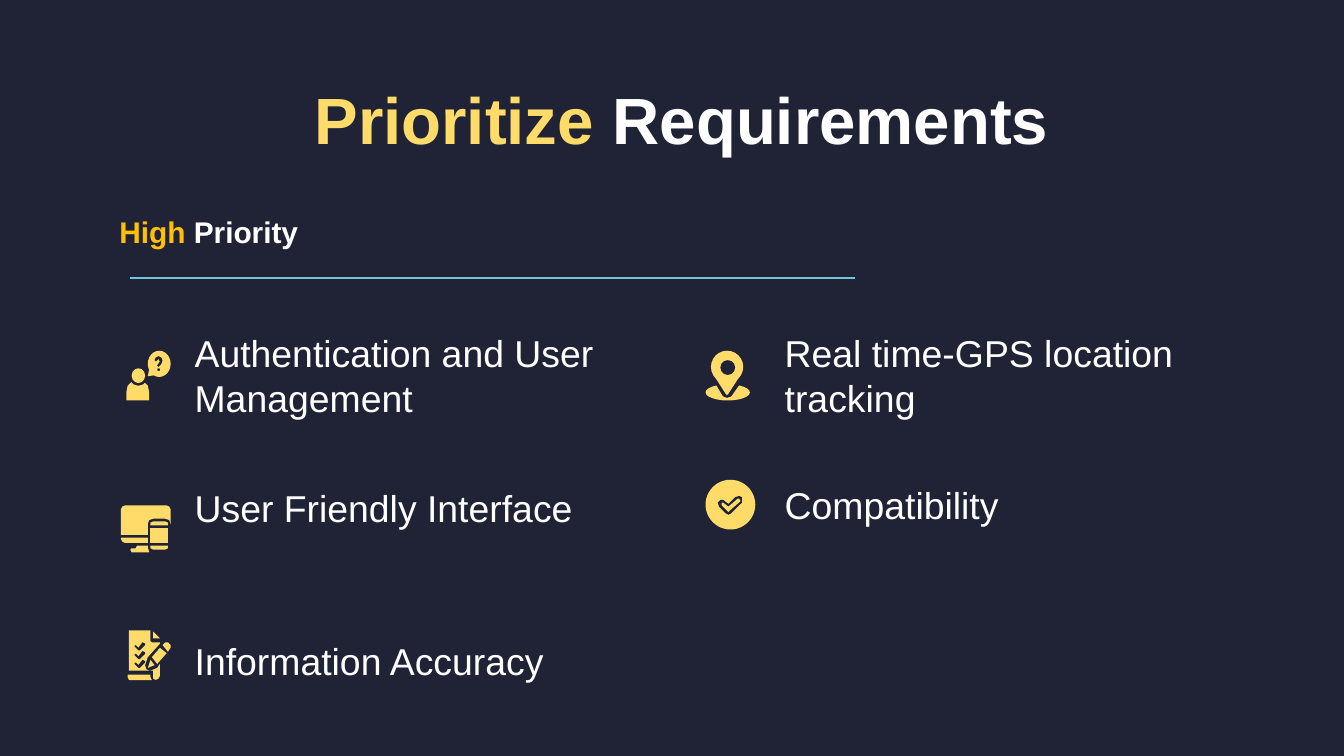
"""Build the slide that lists the high priority requirements."""
from dataclasses import dataclass
from typing import Any

from lxml import etree
from pptx import Presentation
from pptx import util as u
from pptx.dml.color import RGBColor
from pptx.enum import shapes, text
from pptx.oxml import ns

WIDTH = u.Inches(10)
HEIGHT = u.Emu(WIDTH * 9 // 16)
CELL = WIDTH // 1000
FONT = "Arial"
COLOURS = {"night": "202336", "gold": "FFDB6A", "amber": "FFC000",
           "white": "FFFFFF", "sky": "70C6DA"}
Point = tuple[float, float]


@dataclass(frozen=True)
class Words:
    text: str
    size: int
    colour: str = "white"
    bold: bool = False


@dataclass(frozen=True)
class Disc:
    left: float
    top: float
    width: float
    height: float
    colour: str = "gold"


@dataclass(frozen=True)
class Outline:
    points: list[Point]
    colour: str = "gold"


@dataclass(frozen=True)
class Icon:
    left: float
    top: float
    pieces: list[Disc | Outline]


@dataclass(frozen=True)
class Requirement:
    text: str
    left: float
    top: float
    width: float
    height: float
    icon: Icon


def shifted(points: list[Point], down: float) -> list[Point]:
    return [(x, y + down) for x, y in points]


TICK = [(5, 12), (6, 11), (8, 13), (11, 9), (13, 10), (13, 11), (9, 15), (8, 15)]

QUESTION = Icon(94, 261, [
    Outline([(0, 37), (0, 31), (1, 26), (4, 23), (13, 23), (16, 26), (17, 31), (17, 37)]),
    Disc(2, 11, 14, 15, "night"),
    Disc(4, 13, 10, 11),
    Disc(16, 0, 17, 19.5),
    Outline([(17, 14), (16, 19), (22, 18)]),
    Outline([(21, 7), (22, 5), (24, 4), (26, 5), (27, 7), (26, 10), (25, 11), (24, 12),
             (23, 11), (25, 8), (24, 6), (23, 7), (22, 8)], "night"),
    Disc(23, 13, 2, 2, "night"),
])
SCREENS = Icon(90, 376, [
    Outline([(12, 30), (11, 32), (8, 32), (7, 33), (8, 35), (21, 35), (20, 31), (20, 30)]),
    Outline([(0, 24), (20, 24), (20, 28), (3, 28), (1, 27), (0, 25)]),
    Outline([(3, 0), (34, 0), (36, 1), (37, 3), (37, 14), (36, 11), (33, 10), (24, 10),
             (21, 11), (20, 14), (20, 22), (0, 22), (0, 3), (1, 1)]),
    Outline([(22, 17), (35, 17), (35, 28), (22, 28)]),
    Outline([(22, 30), (35, 30), (35, 32), (33, 33), (24, 33), (22, 32)]),
    Outline([(24, 12), (33, 12), (35, 13), (35, 15), (22, 15), (22, 13)]),
])
CHECKLIST = Icon(95, 469, [
    Outline([(1, 0), (17, 0), (17, 8), (18, 9), (24, 9), (24, 10), (15, 20), (13, 26),
             (14, 29), (16, 30), (17, 30), (22, 28), (24, 25), (24, 34), (23, 36),
             (21, 37), (19, 36), (19, 30), (1, 30)]),
    *[Outline(shifted(TICK, 6.5 * row), "night") for row in range(3)],
    Outline([(19, 1), (19, 6), (24, 6)]),
    Outline([(26, 11), (28, 9), (30, 9), (32, 11), (32, 13), (30, 16)]),
    Outline([(17, 22), (15, 28), (20, 26)]),
    Outline([(24, 13), (18, 20), (22, 25), (29, 17)]),
    Outline([(0, 33), (17, 33), (17, 35), (18, 37), (1, 37), (0, 35)]),
])
PIN = Icon(525, 261, [
    Disc(0, 25, 33, 12),
    Outline([(7, 24), (13, 34), (16, 35), (19, 34), (26, 24)], "night"),
    Disc(4, 0, 24, 24),
    Outline([(6, 18), (15, 32), (16, 33), (17, 32), (26, 18)]),
    Disc(11, 7, 11, 11, "night"),
])
APPROVED = Icon(525, 357, [
    Disc(0, 0, 37, 37),
    Outline([(9, 17), (11, 15), (13, 15), (17, 18), (22, 13), (25, 12), (27, 13), (27, 17),
             (19, 25), (17, 26), (15, 25), (10, 20)], "night"),
    Outline([(12, 17), (13, 17), (17, 20), (24, 14), (25, 14), (26, 16),
             (18, 23), (17, 24), (16, 23), (12, 19)]),
])

LEFT, RIGHT = 135, 574
REQUIREMENTS = [
    Requirement("Authentication and User Management", LEFT, 241, 324, 77, QUESTION),
    Requirement("Real time-GPS location tracking", RIGHT, 241, 338, 77, PIN),
    Requirement("User Friendly Interface", LEFT, 356, 324, 77, SCREENS),
    Requirement("Compatibility", RIGHT, 354, 348, 44, APPROVED),
    Requirement("Information Accuracy", LEFT, 470, 348, 44, CHECKLIST),
]


def cells(*counts: float) -> list[u.Emu]:
    return [u.Emu(int(count * CELL)) for count in counts]


def colour(name: str) -> RGBColor:
    return RGBColor.from_string(COLOURS[name])


def write(paragraph: Any, *words: Words) -> None:
    for part in words:
        run = paragraph.add_run()
        run.text = part.text
        run.font.name = FONT
        run.font.size = u.Pt(part.size)
        run.font.bold = part.bold
        run.font.color.rgb = colour(part.colour)


def set_insets(frame: Any, inset: float) -> None:
    frame.margin_left = frame.margin_right = u.Inches(0.1)
    frame.margin_top = frame.margin_bottom = u.Inches(inset)
    frame.word_wrap = True


def draw_title(slide: Any) -> None:
    title = slide.shapes.title
    title.left, title.top, title.width, title.height = cells(79, 49, 843, 63)
    frame = title.text_frame
    set_insets(frame, 0.1)
    frame.auto_size = text.MSO_AUTO_SIZE.NONE
    frame.vertical_anchor = text.MSO_ANCHOR.TOP
    paragraph = frame.paragraphs[0]
    paragraph.alignment = text.PP_ALIGN.CENTER
    write(paragraph, Words(" Prioritize ", 35, "gold", True),
          Words("Requirements", 35, "white", True))


def draw_heading(slide: Any) -> None:
    frame = slide.shapes.add_textbox(*cells(79, 142, 242, 54)).text_frame
    set_insets(frame, 0.1)
    frame.vertical_anchor = text.MSO_ANCHOR.BOTTOM
    paragraph = frame.paragraphs[0]
    paragraph.line_spacing = 1.71
    write(paragraph, Words("High", 16, "amber", True), Words(" Priority", 16, "white", True))
    rule = slide.shapes.add_connector(shapes.MSO_CONNECTOR.STRAIGHT, *cells(97, 207, 636, 207))
    rule.line.color.rgb = colour("sky")
    rule.line.width = u.Pt(0.75)
    etree.SubElement(rule._element.spPr, ns.qn("a:effectLst"))


def draw_icon(slide: Any, icon: Icon) -> None:
    group = slide.shapes.add_group_shape()
    for piece in icon.pieces:
        if isinstance(piece, Disc):
            shape = group.shapes.add_shape(
                shapes.MSO_SHAPE.OVAL,
                *cells(icon.left + piece.left, icon.top + piece.top, piece.width, piece.height))
        else:
            start, *rest = [cells(icon.left + x, icon.top + y) for x, y in piece.points]
            builder = group.shapes.build_freeform(*start)
            builder.add_line_segments(rest, close=True)
            shape = builder.convert_to_shape()
        shape.shadow.inherit = False
        shape.fill.solid()
        shape.fill.fore_color.rgb = colour(piece.colour)
        shape.line.fill.background()


def draw_requirement(slide: Any, item: Requirement) -> None:
    box = slide.shapes.add_textbox(*cells(item.left, item.top, item.width, item.height))
    set_insets(box.text_frame, 0.05)
    box.text_frame.auto_size = text.MSO_AUTO_SIZE.SHAPE_TO_FIT_TEXT
    write(box.text_frame.paragraphs[0], Words(item.text, 20))
    draw_icon(slide, item.icon)


def main() -> None:
    presentation = Presentation()
    presentation.slide_width, presentation.slide_height = WIDTH, HEIGHT
    slide = presentation.slides.add_slide(presentation.slide_layouts.get_by_name("Title Only"))
    slide.background.fill.solid()
    slide.background.fill.fore_color.rgb = colour("night")
    draw_title(slide)
    draw_heading(slide)
    for item in REQUIREMENTS:
        draw_requirement(slide, item)
    presentation.save("out.pptx")


if __name__ == "__main__":
    main()
